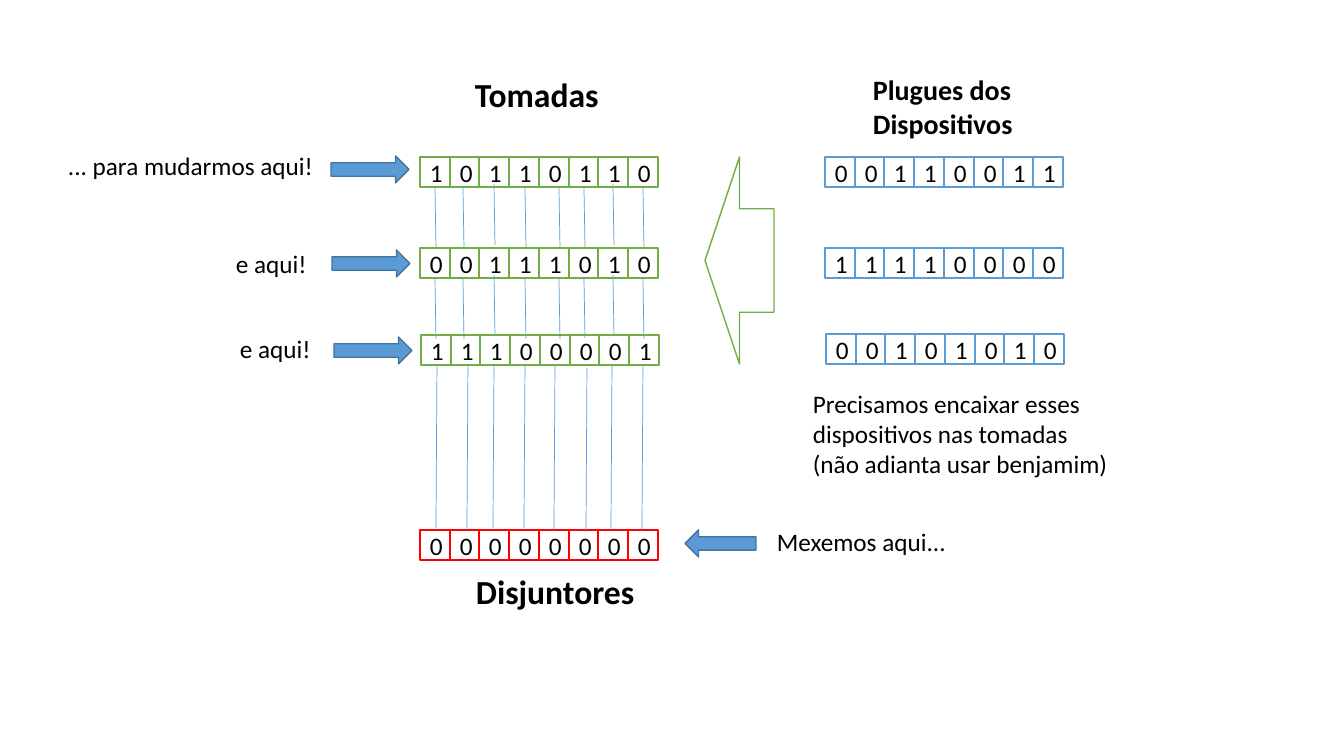
"""Build the slide on sockets, device plugs and circuit breakers."""
from dataclasses import dataclass

from lxml.etree import SubElement
from pptx import Presentation
from pptx.dml.color import RGBColor
from pptx.enum.shapes import MSO_CONNECTOR, MSO_SHAPE as Preset
from pptx.enum.text import MSO_ANCHOR, MSO_AUTO_SIZE, PP_ALIGN
from pptx.oxml.ns import qn
from pptx.util import Pt


@dataclass(frozen=True)
class Theme:
    font: str = "Calibri"
    ink: str = "000000"
    paper: str = "FFFFFF"
    socket: str = "70AD47"
    breaker: str = "FF0000"
    plug: str = "5B9BD5"
    arrow_edge: str = "43739E"
    body: int = 18
    subtitle: int = 20
    title: int = 24
    outline: float = 1
    wire: float = 0.5


theme = Theme()
PX = 914400 / 100.8

deck = Presentation()
deck.slide_width, deck.slide_height = round(1344 * PX), round(756 * PX)
slide = deck.slides.add_slide(deck.slide_layouts[6])


def add_figure(preset, box, fill, edge):
    figure = slide.shapes.add_shape(preset, *(round(n * PX) for n in box))
    figure.shadow.inherit = False
    figure.fill.solid()
    figure.fill.fore_color.rgb = RGBColor.from_string(fill)
    figure.line.color.rgb = RGBColor.from_string(edge)
    figure.line.width = Pt(theme.outline)
    return figure


def write(frame, text, size=theme.body, bold=False, align=PP_ALIGN.LEFT):
    for number, words in enumerate(text.split("\n")):
        paragraph = frame.add_paragraph() if number else frame.paragraphs[0]
        paragraph.text = words
        paragraph.alignment = align
        paragraph.font.name = theme.font
        paragraph.font.size = Pt(size)
        paragraph.font.bold = bold
        paragraph.font.color.rgb = RGBColor.from_string(theme.ink)


CELL, ROW_SPAN = 30, 208
bit_rows = [
    (420, 157, "10110110", theme.socket),
    (420, 248, "00111010", theme.socket),
    (421, 335, "11100001", theme.socket),
    (420, 530, "00000000", theme.breaker),
    (825, 157, "00110011", theme.plug),
    (825, 248, "11110000", theme.plug),
    (826, 334, "00101010", theme.plug),
]
for left, top, bits, edge in bit_rows:
    for column, bit in enumerate(bits):
        x = left + round(column * ROW_SPAN / (len(bits) - 1))
        cell = add_figure(Preset.RECTANGLE, (x, top, CELL, CELL), theme.paper, edge)
        cell.text_frame.vertical_anchor = MSO_ANCHOR.MIDDLE
        write(cell.text_frame, bit, align=PP_ALIGN.CENTER)

socket_columns = [435, 463, 494, 525, 559, 584, 613, 643]
breaker_columns = [437, 468, 494, 525, 555, 587, 612, 643]
socket_drops = [3, 3, 0, 3, 3, 2, 0, 3]
breaker_drops = [0, 2, 0, 0, 2, 4, 2, 2]
wire_bands = [
    (socket_columns, socket_drops, 184, 61, 1),
    (socket_columns, socket_drops, 275, 61, 1),
    (breaker_columns, breaker_drops, 364, 164, -1),
]
for columns, drops, top, length, lean in wire_bands:
    for x, drop in zip(columns, drops):
        y = top + drop
        ends = (round(n * PX) for n in (x, y, x + lean, y + length))
        wire = slide.shapes.add_connector(MSO_CONNECTOR.STRAIGHT, *ends)
        wire.line.color.rgb = RGBColor.from_string(theme.plug)
        wire.line.width = Pt(theme.wire)
        SubElement(wire._element.spPr, qn("a:effectLst"))

add_figure(Preset.LEFT_ARROW, (705, 157, 69, 207), theme.paper, theme.socket)
pointers = [
    (Preset.LEFT_ARROW, (685, 530, 71, 27)),
    (Preset.RIGHT_ARROW, (331, 156, 78, 27)),
    (Preset.RIGHT_ARROW, (332, 250, 78, 27)),
    (Preset.RIGHT_ARROW, (334, 337, 78, 27)),
]
for preset, box in pointers:
    add_figure(preset, box, theme.plug, theme.arrow_edge)

labels = [
    ("Tomadas", (465, 69, 145, 50), theme.title, True),
    ("Plugues dos \nDispositivos", (863, 68, 166, 78), theme.subtitle, True),
    ("Disjuntores", (466, 566, 180, 50), theme.title, True),
    ("Mexemos aqui...", (767, 521, 191, 40), theme.body, False),
    ("... para mudarmos aqui!", (58, 145, 268, 40), theme.body, False),
    ("e aqui!", (226, 243, 92, 40), theme.body, False),
    ("e aqui!", (230, 328, 92, 40), theme.body, False),
    ("Precisamos encaixar esses \ndispositivos nas tomadas\n(não adianta usar benjamim)",
     (803, 383, 319, 102), theme.body, False),
]
for text, box, size, bold in labels:
    label = slide.shapes.add_textbox(*(round(n * PX) for n in box)).text_frame
    label.word_wrap = False
    label.auto_size = MSO_AUTO_SIZE.SHAPE_TO_FIT_TEXT
    write(label, text, size, bold)

deck.save("out.pptx")
